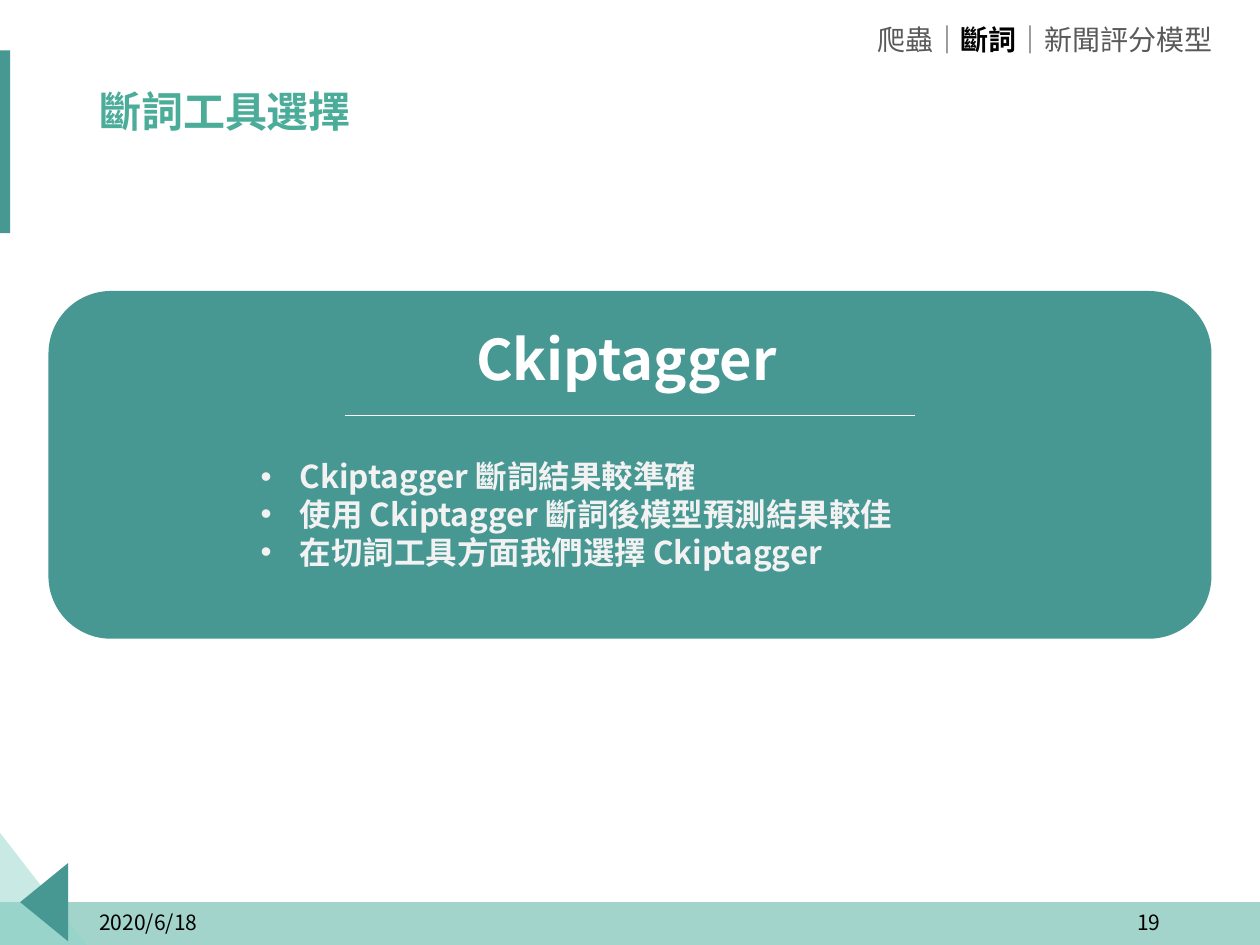
from dataclasses import dataclass

from lxml import etree
from pptx import Presentation, util as u
from pptx.dml.color import RGBColor
from pptx.enum import shapes, text
from pptx.oxml.ns import qn

COLS, ROWS = 100, 75
CELL = u.Inches(10) // COLS


@dataclass(frozen=True)
class Theme:
    """Colours, fonts and type sizes of the slide."""
    teal: str = "479793"
    green: str = "4AAC99"
    mint: str = "92D4CB"
    white: str = "FFFFFF"
    pale: str = "F2F2F2"
    grey: str = "595959"
    black: str = "000000"
    sans: str = "Noto Sans CJK SC"
    trad: str = "Noto Sans CJK TC"
    small: int = 12
    crumb: int = 16
    body: int = 18
    title: int = 24
    head: int = 32


T = Theme()


def grid(*cells):
    """Turn grid cells into lengths."""
    return [u.Emu(round(c * CELL)) for c in cells]


def apply(obj, style):
    """Set each value of a style on an object."""
    for key, val in style.items():
        setattr(obj, key, val)


def sub(node, tag, **attrs):
    """Add an XML child with attributes."""
    return etree.SubElement(node, qn(tag), attrs)


def paint(shape, color, alpha=None):
    """Give a shape a plain fill, without line or shadow."""
    shape.shadow.inherit = False
    shape.fill.solid()
    shape.fill.fore_color.rgb = RGBColor.from_string(color)
    shape.line.fill.background()
    if alpha:
        tone = next(shape.element.spPr.iter(qn("a:srgbClr")))
        sub(tone, "a:alpha", val=str(alpha * 1000))
    return shape


def block(slide, kind, box, color, alpha=None):
    """Draw a filled preset shape."""
    return paint(slide.shapes.add_shape(kind, *grid(*box)), color, alpha)


def wedge(slide, points, color, alpha=None):
    """Draw a filled triangle."""
    first, *rest = [grid(*p) for p in points]
    pen = slide.shapes.build_freeform(*first, scale=1.0)
    pen.add_line_segments(rest, close=True)
    paint(pen.convert_to_shape(), color, alpha)


def rule(slide, start, end, color, width):
    """Draw a thin straight line."""
    line = slide.shapes.add_connector(
        shapes.MSO_CONNECTOR.STRAIGHT, *grid(*start, *end))
    line.line.color.rgb = RGBColor.from_string(color)
    line.line.width = u.Pt(width)
    sub(line.element.spPr, "a:effectLst")


def write(para, words, size, color, face=T.sans, bold=False):
    """Add a run in one face for Latin and Chinese letters."""
    run = para.add_run()
    run.text = words
    apply(run.font, {"size": u.Pt(size), "bold": bold, "name": face})
    run.font.color.rgb = RGBColor.from_string(color)
    sub(run.font._element, "a:ea", typeface=face)
    return run


def label(slide, box, runs, align=text.PP_ALIGN.LEFT, **style):
    """Add a text box with one paragraph of runs."""
    frame = slide.shapes.add_textbox(*grid(*box)).text_frame
    apply(frame, {"word_wrap": True, **style})
    para = frame.paragraphs[0]
    para.alignment = align
    for run in runs:
        write(para, *run)


def bullets(slide, box, lines, indent):
    """Add a bulleted list."""
    frame = slide.shapes.add_textbox(*grid(*box)).text_frame
    frame.word_wrap = True
    step = grid(indent)[0]
    for i, words in enumerate(lines):
        para = frame.add_paragraph() if i else frame.paragraphs[0]
        props = para._p.get_or_add_pPr()
        apply_xml = {"marL": str(step), "indent": str(-step)}
        props.attrib.update(apply_xml)
        sub(props, "a:buFont", typeface="Arial")
        sub(props, "a:buChar", char="•")
        write(para, words, T.body, T.pale, T.sans, True)


def head(slide, box, words):
    """Place and format the title."""
    title = slide.shapes.title
    apply(title, dict(zip(("left", "top", "width", "height"), grid(*box))))
    apply(title.text_frame, {"vertical_anchor": text.MSO_ANCHOR.MIDDLE,
                             "auto_size": text.MSO_AUTO_SIZE.NONE,
                             "word_wrap": True})
    para = title.text_frame.paragraphs[0]
    apply(para, {"alignment": text.PP_ALIGN.LEFT, "line_spacing": 0.9})
    run = write(para, words, T.title, T.green, T.sans, True)
    run.font._element.set("spc", "-10")


def frame(slide):
    """Draw the footer band, corner wedges and side bar."""
    rect = shapes.MSO_SHAPE.RECTANGLE
    block(slide, rect, (0, 71.6, COLS, 3.4), T.green, 51)
    wedge(slide, [(0, 66.1), (6.9, ROWS), (0, ROWS)], T.mint, 50)
    wedge(slide, [(5.4, 68.5), (5.4, 74.7), (1.6, 71.6)], T.teal)
    block(slide, rect, (-0.8, 4, 1.6, 14.5), T.teal)


def notes(slide):
    """Write the date, page number and section trail."""
    mid, right = text.MSO_ANCHOR.MIDDLE, text.PP_ALIGN.RIGHT
    left, wide = 6.9, 22.5
    for x, words, align in ((left, "2020/6/18", text.PP_ALIGN.LEFT),
                            (COLS - left - wide, "19", right)):
        label(slide, (x, 71.2, wide, 4),
              [(words, T.small, T.black, T.trad)], align, vertical_anchor=mid)
    bar = ("｜", T.crumb, T.grey)
    label(slide, (68.3, 1.3, 28.9, 3.7),
          [("爬蟲", T.crumb, T.grey, T.trad), bar,
           ("斷詞", T.crumb, T.black, T.trad, True), bar,
           ("新聞評分模型", T.crumb, T.grey, T.trad)], right, word_wrap=False)


def card(slide):
    """Draw the card with its heading, rule and points."""
    panel = block(slide, shapes.MSO_SHAPE.ROUNDED_RECTANGLE,
                  (3.85, 23.1, 92.3, 27.6), T.teal)
    panel.adjustments[0] = 0.18
    label(slide, (36.8, 25.3, 32.8, 6.4),
          [("Ckiptagger", T.head, T.white, T.sans, True)])
    rule(slide, (27.4, 33), (72.6, 33), T.white, 0.5)
    bullets(slide, (19.7, 35.8, 74.2, 13.1),
            ("Ckiptagger 斷詞結果較準確",
             "使用 Ckiptagger 斷詞後模型預測結果較佳",
             "在切詞工具方面我們選擇 Ckiptagger"), 3.1)


def main():
    """Build and save the slide."""
    deck = Presentation()
    apply(deck, {"slide_width": CELL * COLS, "slide_height": CELL * ROWS})
    slide = deck.slides.add_slide(deck.slide_layouts[5])
    frame(slide)
    notes(slide)
    head(slide, (6.9, 5.7, 86.2, 6.6), "斷詞工具選擇")
    card(slide)
    deck.save("out.pptx")


if __name__ == "__main__":
    main()
